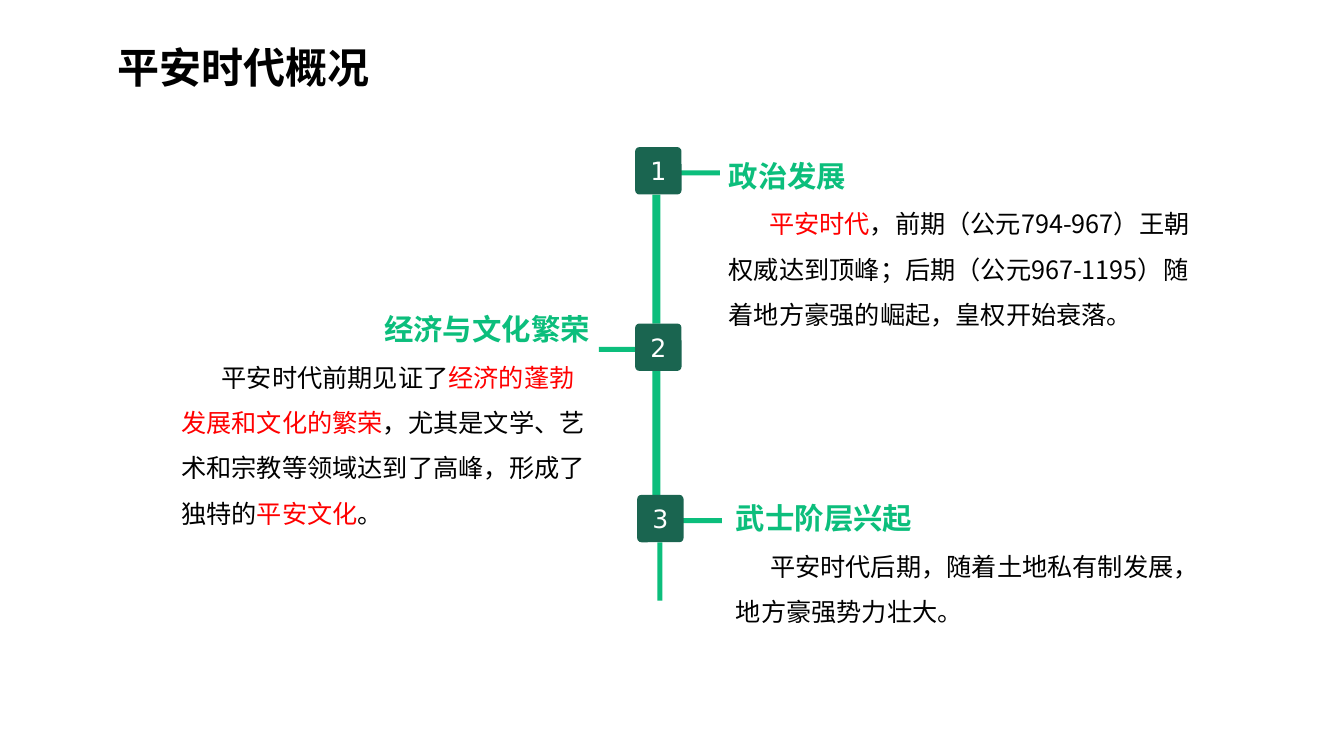
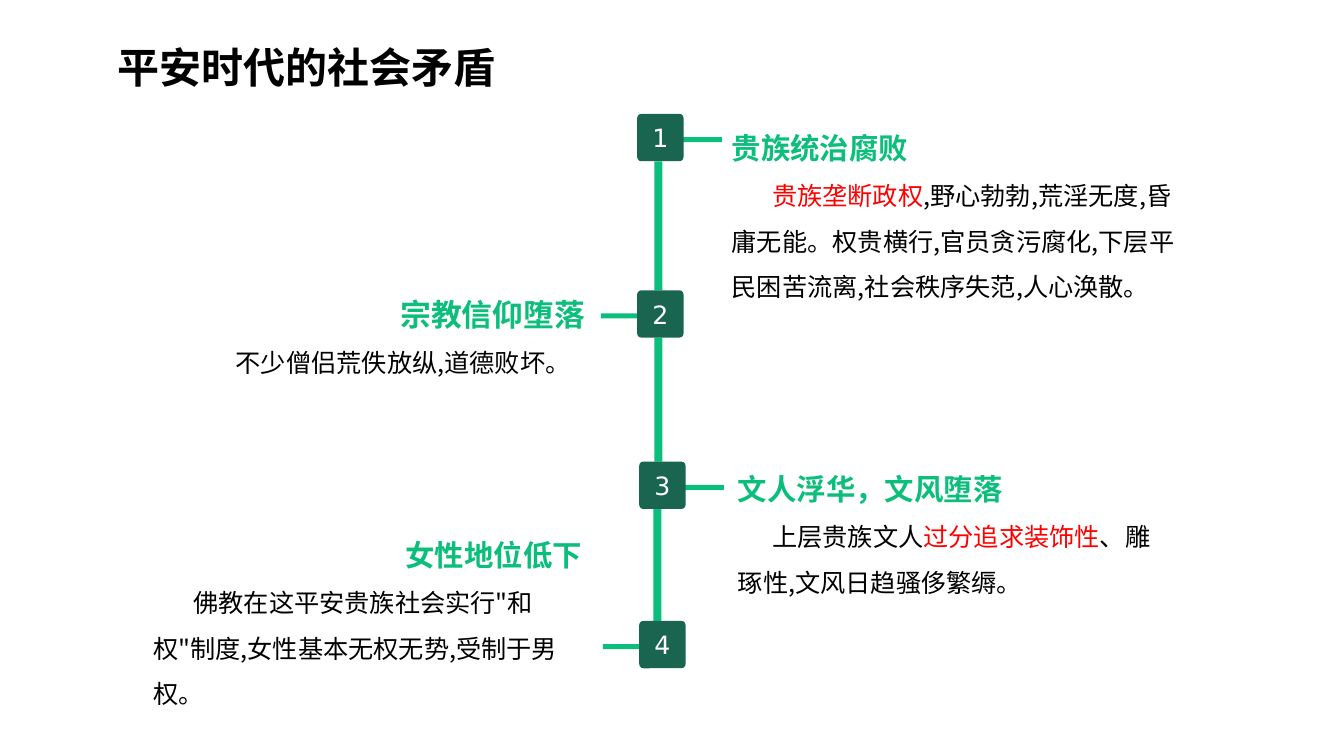
from dataclasses import dataclass

import lxml.etree
import pptx
import pptx.dml.color
import pptx.enum.shapes
import pptx.enum.text
import pptx.oxml.ns
import pptx.util

Inches = pptx.util.Inches
RGBColor = pptx.dml.color.RGBColor
SHAPE = pptx.enum.shapes.MSO_SHAPE
ALIGN = pptx.enum.text.PP_ALIGN

BLACK = RGBColor(0x00, 0x00, 0x00)
WHITE = RGBColor(0xFF, 0xFF, 0xFF)
RED = RGBColor(0xFF, 0x00, 0x00)
GREEN = RGBColor(0x0C, 0xBE, 0x7C)
DARK_GREEN = RGBColor(0x1A, 0x65, 0x50)

TEXT_FONT = "Noto Sans CJK SC"
NUMBER_FONT = "DejaVu Sans"

TITLE_BOX = (1.07, 0.11, 10.25, 0.86)
NODE_WIDTH, NODE_HEIGHT = 0.46, 0.47
BRANCH_WIDTH, BRANCH_HEIGHT, BRANCH_DROP = 0.4, 0.05, 0.23
RIGHT_BRANCH, LEFT_BRANCH = 0.44, -0.36  # offsets from the node's left edge
TRUNK_WIDTH, TRUNK_OFFSET = 0.08, 0.17
TAIL_WIDTH, TAIL_OFFSET = 0.05, 0.2


@dataclass
class Topic:
    """One numbered stop on the timeline; body is a list of (text, colour)."""
    heading: str
    body: list
    box: tuple
    node: tuple
    indent: float = 0.4
    on_left: bool = False
    heading_size: int = 21
    trunk_offset: float = TRUNK_OFFSET


# Each slide: title, topics, length of the line below the last node
SLIDES = [
    ("平安时代概况", [
        Topic("政治发展",
              [("平安时代", RED),
               ("，前期（公元794-967）王朝权威达到顶峰；后期（公元967-1195）"
                "随着地方豪强的崛起，皇权开始衰落。", BLACK)],
              (7.13, 1.51, 4.9, 1.82), (6.3, 1.46)),
        Topic("经济与文化繁荣",
              [("平安时代前期见证了", BLACK),
               ("经济的蓬勃发展和文化的繁荣", RED),
               ("，尤其是文学、艺术和宗教等领域达到了高峰，形成了独特的", BLACK),
               ("平安文化", RED),
               ("。", BLACK)],
              (1.7, 3.03, 4.25, 2.27), (6.3, 3.21), on_left=True),
        Topic("武士阶层兴起",
              [("平安时代后期，随着土地私有制发展，地方豪强势力壮大。", BLACK)],
              (7.2, 4.91, 4.82, 1.36), (6.32, 4.91), indent=0.34),
    ], 0.58),
    ("平安时代的社会矛盾", [
        Topic("贵族统治腐败",
              [("贵族垄断政权", RED),
               (",野心勃勃,荒淫无度,昏庸无能。权贵横行,官员贪污腐化,"
                "下层平民困苦流离,社会秩序失范,人心涣散。", BLACK)],
              (7.16, 1.23, 4.66, 1.82), (6.32, 1.13)),
        Topic("宗教信仰堕落",
              [("不少僧侣荒佚放纵,道德败坏。", BLACK)],
              (1.29, 2.88, 4.61, 0.92), (6.32, 2.88),
              indent=0.95, on_left=True, heading_size=22),
        Topic("文人浮华，文风堕落",
              [("上层贵族文人", BLACK),
               ("过分追求装饰性", RED),
               ("、雕琢性,文风日趋骚侈繁缛。", BLACK)],
              (7.22, 4.62, 4.48, 1.36), (6.34, 4.58),
              indent=0.34, trunk_offset=0.14),
        Topic("女性地位低下",
              [('佛教在这平安贵族社会实行"和权"制度,女性基本无权无势,受制于男权。',
                BLACK)],
              (1.42, 5.5, 4.45, 1.36), (6.34, 6.16), on_left=True),
    ], 0),
]


def add_span(para, text, size, color, bold=False, font=TEXT_FONT):
    span = para.add_run()
    span.text = text
    span.font.name = font
    span.font.size = pptx.util.Pt(size)
    span.font.bold = bold
    span.font.color.rgb = color
    east_asian = lxml.etree.SubElement(span.font._element,
                                       pptx.oxml.ns.qn("a:ea"))
    east_asian.set("typeface", font)


def add_text_frame(page, box):
    frame = page.shapes.add_textbox(*map(Inches, box)).text_frame
    frame.word_wrap = True
    frame.vertical_anchor = pptx.enum.text.MSO_ANCHOR.MIDDLE
    frame.auto_size = pptx.enum.text.MSO_AUTO_SIZE.SHAPE_TO_FIT_TEXT
    return frame


def add_block(page, kind, box, color):
    block = page.shapes.add_shape(kind, *map(Inches, box))
    block.shadow.inherit = False
    block.fill.solid()
    block.fill.fore_color.rgb = color
    block.line.fill.background()
    return block


def add_title(page, title):
    para = add_text_frame(page, TITLE_BOX).paragraphs[0]
    para.line_spacing = 1.5
    add_span(para, title, 30, BLACK, bold=True)


def add_topic_text(page, topic):
    frame = add_text_frame(page, topic.box)
    heading = frame.paragraphs[0]
    heading.alignment = ALIGN.RIGHT if topic.on_left else ALIGN.LEFT
    add_span(heading, topic.heading, topic.heading_size, GREEN, bold=True)

    body = frame.add_paragraph()
    body.line_spacing = 1.5
    body._p.get_or_add_pPr().set("indent", str(Inches(topic.indent)))
    for text, color in topic.body:
        add_span(body, text, 18, color)


def add_branch(page, topic):
    left, top = topic.node
    left += LEFT_BRANCH if topic.on_left else RIGHT_BRANCH
    add_block(page, SHAPE.RECTANGLE,
              (left, top + BRANCH_DROP, BRANCH_WIDTH, BRANCH_HEIGHT), GREEN)


def add_trunk(page, topic, offset, width, end):
    """Draw the vertical line from below the topic's node down to end."""
    left, top = topic.node
    start = top + NODE_HEIGHT
    add_block(page, SHAPE.RECTANGLE,
              (left + offset, start, width, end - start), GREEN)


def add_node(page, topic, number):
    node = add_block(page, SHAPE.ROUNDED_RECTANGLE,
                     (*topic.node, NODE_WIDTH, NODE_HEIGHT), DARK_GREEN)
    node.adjustments[0] = 0.09
    frame = node.text_frame
    frame.vertical_anchor = pptx.enum.text.MSO_ANCHOR.MIDDLE
    para = frame.paragraphs[0]
    para.alignment = ALIGN.CENTER
    add_span(para, str(number), 18, WHITE, font=NUMBER_FONT)


def add_timeline(page, topics, tail):
    for number, topic in enumerate(topics, 1):
        add_topic_text(page, topic)
        if number < len(topics):
            add_trunk(page, topic, topic.trunk_offset, TRUNK_WIDTH,
                      topics[number].node[1])
        elif tail:
            add_trunk(page, topic, TAIL_OFFSET, TAIL_WIDTH,
                      topic.node[1] + NODE_HEIGHT + tail)
        add_branch(page, topic)
        add_node(page, topic, number)


def main():
    deck = pptx.Presentation()
    deck.slide_width, deck.slide_height = Inches(13.33), Inches(7.5)
    for title, topics, tail in SLIDES:
        page = deck.slides.add_slide(deck.slide_layouts[6])
        add_title(page, title)
        add_timeline(page, topics, tail)
    deck.save("out.pptx")


if __name__ == "__main__":
    main()
